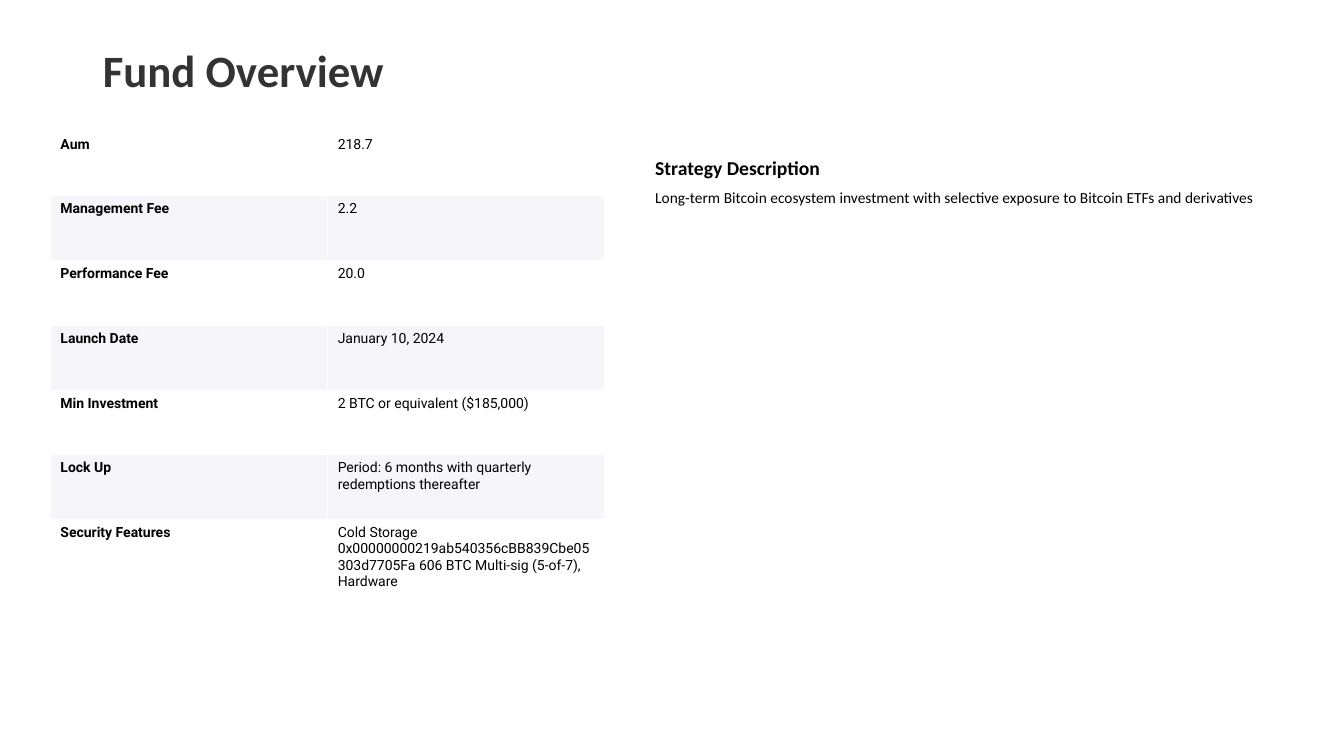
from pptx import Presentation
from pptx.dml.color import RGBColor
from pptx.enum import text
from pptx.util import Inches, Pt

BLACK = RGBColor(0x00, 0x00, 0x00)
WHITE = RGBColor(0xFF, 0xFF, 0xFF)
CHARCOAL = RGBColor(0x33, 0x33, 0x33)
BAND = RGBColor(0xF5, 0xF5, 0xFA)

FUND_FACTS = [
    ("Aum", "218.7"),
    ("Management Fee", "2.2"),
    ("Performance Fee", "20.0"),
    ("Launch Date", "January 10, 2024"),
    ("Min Investment", "2 BTC or equivalent ($185,000)"),
    ("Lock Up", "Period: 6 months with quarterly redemptions thereafter"),
    ("Security Features",
     "Cold Storage 0x00000000219ab540356cBB839Cbe05303d7705Fa 606 BTC "
     "Multi-sig (5-of-7), Hardware"),
]
STRATEGY = [
    ("Strategy Description", 14, True),
    ("Long-term Bitcoin ecosystem investment with selective exposure to "
     "Bitcoin ETFs and derivatives", 11, False),
]


def format_font(paragraph, name, size, color, bold):
    font = paragraph.font
    font.name = name
    font.size = Pt(size)
    font.color.rgb = color
    font.bold = bold


presentation = Presentation()
presentation.slide_width = Inches(13.33)
presentation.slide_height = Inches(7.5)
slide = presentation.slides.add_slide(presentation.slide_layouts[5])

# Title
title = slide.shapes.title
title.left, title.top = Inches(0.92), Inches(0.4)
title.width, title.height = Inches(9.52), Inches(0.65)
title.text_frame.text = "Fund Overview"
title.text_frame.vertical_anchor = text.MSO_ANCHOR.MIDDLE
heading = title.text_frame.paragraphs[0]
heading.alignment = text.PP_ALIGN.LEFT
heading.line_spacing = 0.9
format_font(heading, "Calibri", 32, CHARCOAL, True)

# Fund facts
table = slide.shapes.add_table(
    len(FUND_FACTS), 2, Inches(0.5), Inches(1.3), Inches(5.5), Inches(4.5)
).table
for row, facts in enumerate(FUND_FACTS):
    for column, fact in enumerate(facts):
        cell = table.cell(row, column)
        cell.text = fact
        cell.fill.solid()
        cell.fill.fore_color.rgb = BAND if row % 2 else WHITE
        format_font(cell.text_frame.paragraphs[0], "Roboto", 10, BLACK, column == 0)

# Strategy
strategy_box = slide.shapes.add_textbox(
    Inches(6.4), Inches(1.5), Inches(6.43), Inches(4.3))
frame = strategy_box.text_frame
frame.word_wrap = True
frame.text = "\n".join(line for line, size, bold in STRATEGY)
for paragraph, (line, size, bold) in zip(frame.paragraphs, STRATEGY):
    format_font(paragraph, "Calibri", size, BLACK, bold)
frame.paragraphs[0].space_after = Pt(6)

presentation.save("out.pptx")
